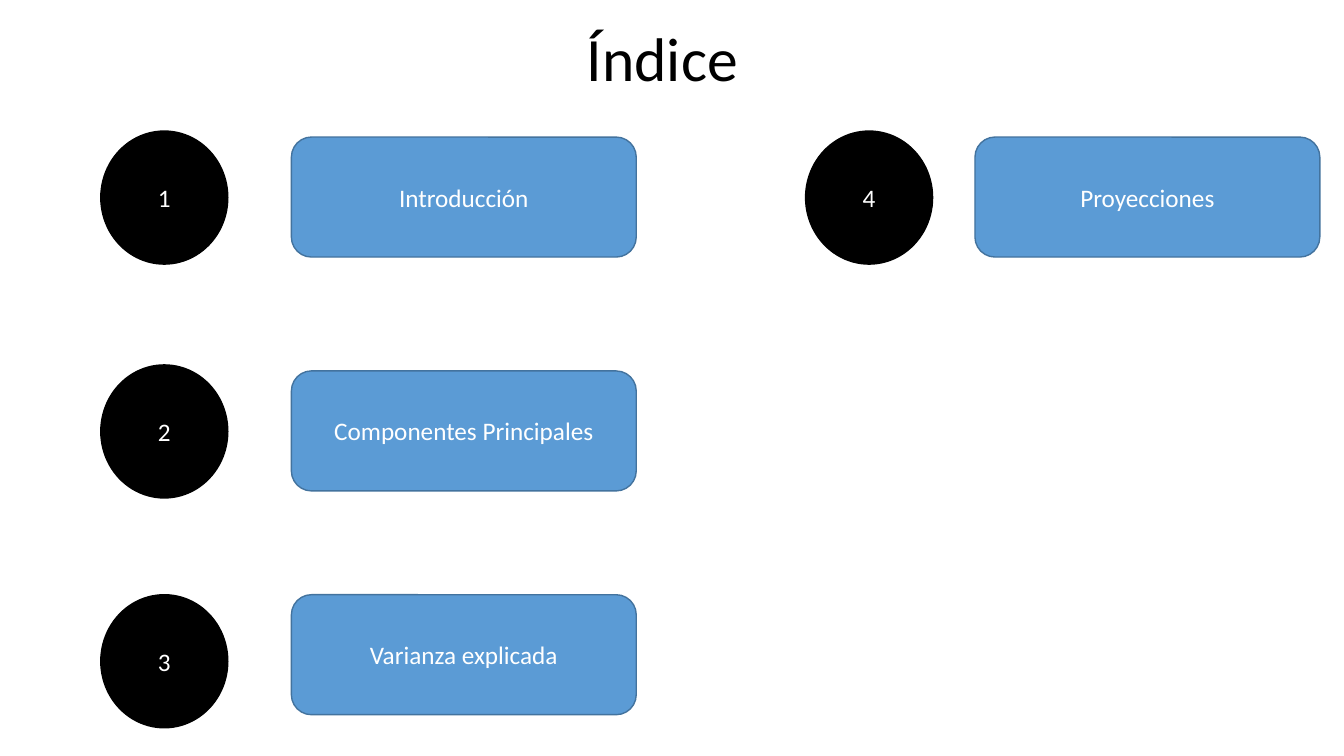
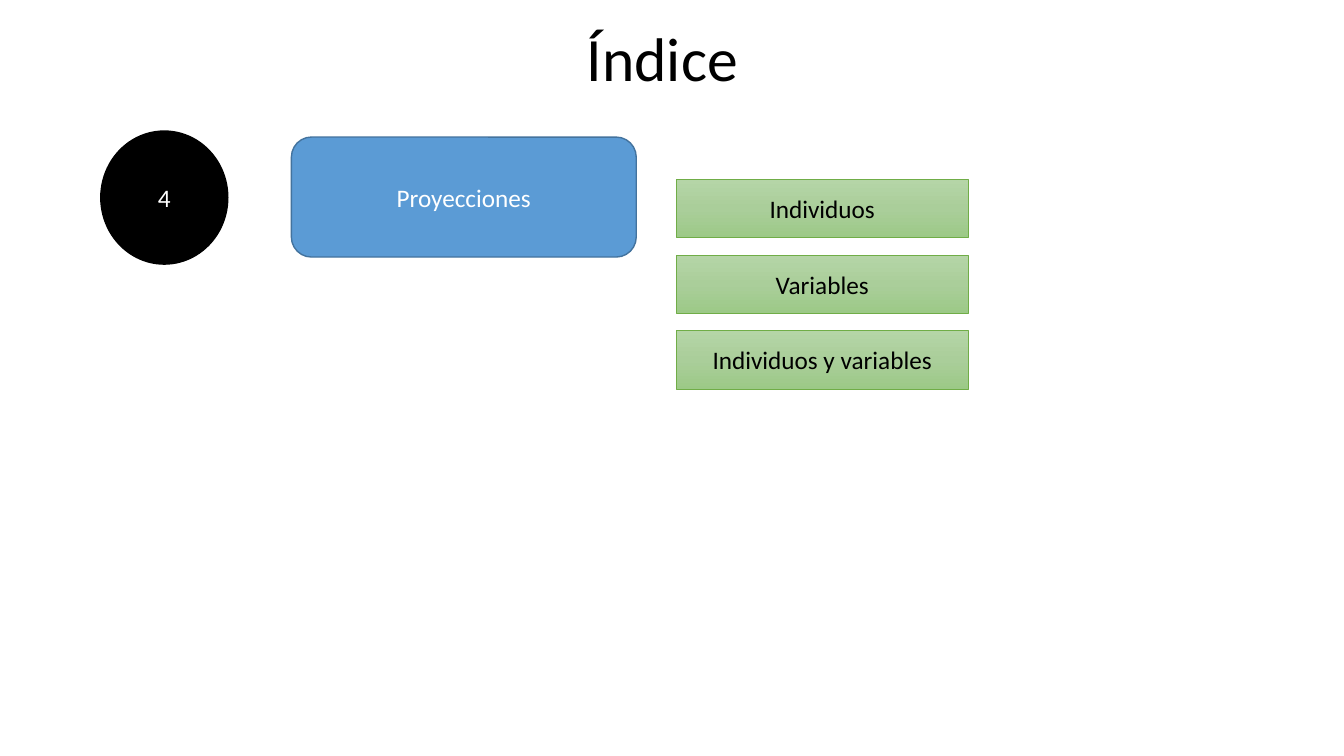
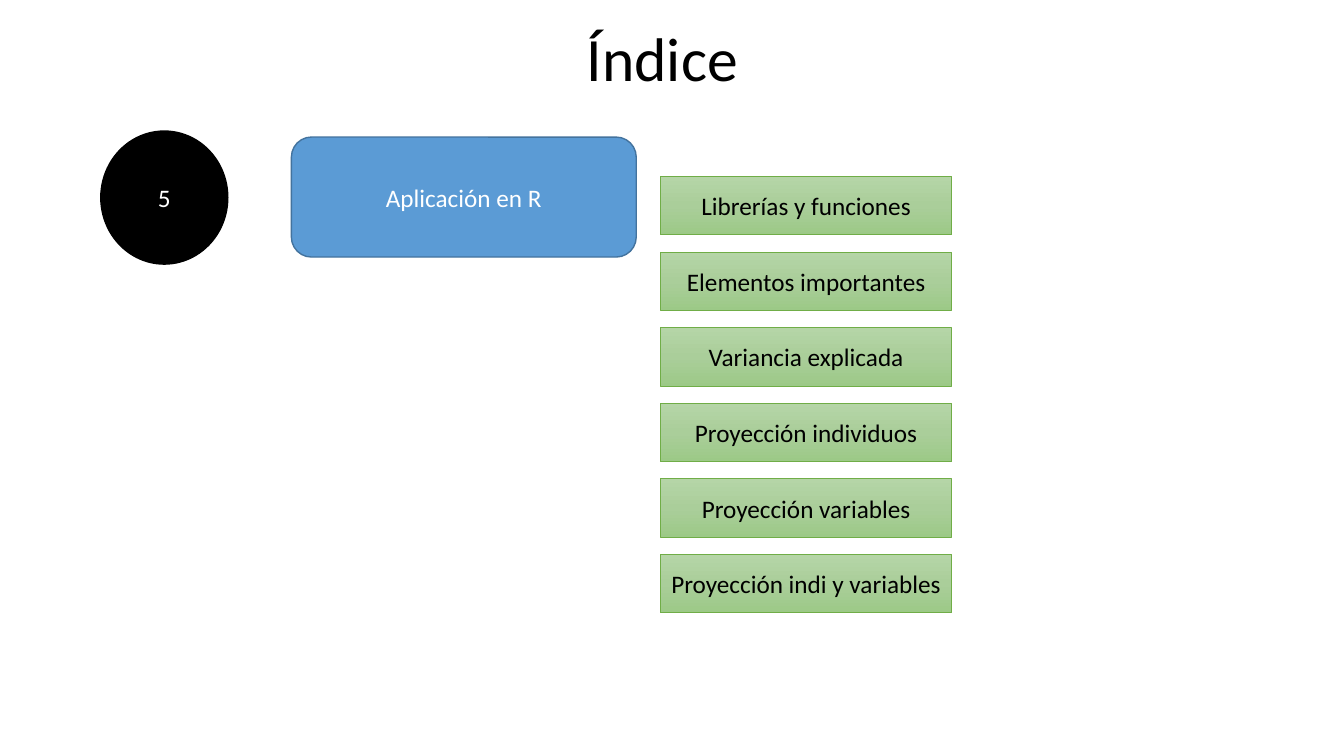
from copy import deepcopy
from dataclasses import dataclass

from pptx import Presentation
from pptx.dml.color import RGBColor as RGB
from pptx.enum.shapes import MSO_SHAPE as Form
from pptx.enum.text import MSO_ANCHOR as Anchor, PP_ALIGN as Align
from pptx.oxml.ns import qn
from pptx.shapes.autoshape import Shape
from pptx.slide import Slide
from pptx.util import Inches, Pt

BLACK = RGB(0x00, 0x00, 0x00)
WHITE = RGB(0xFF, 0xFF, 0xFF)
BLUE = RGB(0x5B, 0x9B, 0xD5)
NAVY = RGB(0x43, 0x73, 0x9E)
GREEN = RGB(0x70, 0xAD, 0x47)
SHADES = (RGB(0xB5, 0xD5, 0xA7), RGB(0xAA, 0xCE, 0x9A), RGB(0x9C, 0xC9, 0x87))
FONT = "Calibri"
PITCH = 0.75


@dataclass(frozen=True)
class Topic:
    num: str
    text: str
    left: float = 1
    top: float = 1.3
    step: float = 1.89
    drop: float = 0.06


@dataclass(frozen=True)
class Items:
    left: float
    top: float
    names: tuple[str, ...]


@dataclass(frozen=True)
class Page:
    topics: tuple[Topic, ...]
    items: Items | None = None


PAGES = (
    Page((
        Topic("1", "Introducción"),
        Topic("2", "Componentes Principales", top=3.62),
        Topic("3", "Varianza explicada", top=5.9, drop=0),
        Topic("4", "Proyecciones", left=7.99, step=1.68),
    )),
    Page(
        (Topic("4", "Proyecciones"),),
        Items(6.71, 1.78, ("Individuos", "Variables", "Individuos y variables")),
    ),
    Page(
        (Topic("5", "Aplicación en R"),),
        Items(6.55, 1.75, (
            "Librerías y funciones",
            "Elementos importantes",
            "Variancia explicada",
            "Proyección individuos",
            "Proyección variables",
            "Proyección indi y variables",
        )),
    ),
)


def write(shape: Shape, text: str, size: float, color: RGB) -> None:
    frame = shape.text_frame
    frame.word_wrap = True
    frame.vertical_anchor = Anchor.MIDDLE
    para = frame.paragraphs[0]
    para.alignment = Align.CENTER
    run = para.add_run()
    run.text = text
    run.font.name = FONT
    run.font.size = Pt(size)
    run.font.color.rgb = color


def title(slide: Slide, text: str) -> None:
    box = slide.shapes.add_textbox(
        Inches(0.93), Inches(0.13), Inches(11.28), Inches(0.97))
    write(box, text, 44, BLACK)
    box.text_frame.paragraphs[0].line_spacing = 0.9


def block(slide: Slide, form: Form, left: float, top: float, width: float,
          height: float, edge: RGB, weight: float) -> Shape:
    shape = slide.shapes.add_shape(
        form, Inches(left), Inches(top), Inches(width), Inches(height))
    shape.shadow.inherit = False
    shape.line.color.rgb = edge
    shape.line.width = Pt(weight)
    return shape


def solid(shape: Shape, color: RGB) -> None:
    shape.fill.solid()
    shape.fill.fore_color.rgb = color


def blend(shape: Shape) -> None:
    fill = shape.fill
    fill.gradient()
    fill.gradient_angle = 270
    first = next(shape.element.spPr.iter(qn("a:gs")))
    first.addnext(deepcopy(first))
    for i, (stop, shade) in enumerate(zip(fill.gradient_stops, SHADES)):
        stop.position = i / 2
        stop.color.rgb = shade


def draw_topic(slide: Slide, topic: Topic) -> None:
    disc = block(slide, Form.OVAL, topic.left, topic.top, 1.26, 1.32, BLACK, 1)
    solid(disc, BLACK)
    write(disc, topic.num, 18, WHITE)
    box = block(slide, Form.ROUNDED_RECTANGLE, topic.left + topic.step,
                topic.top + topic.drop, 3.42, 1.19, NAVY, 1)
    solid(box, BLUE)
    write(box, topic.text, 18, WHITE)


def draw_items(slide: Slide, items: Items) -> None:
    for i, name in enumerate(items.names):
        bar = block(slide, Form.RECTANGLE, items.left, items.top + i * PITCH,
                    2.89, 0.58, GREEN, 0.5)
        blend(bar)
        write(bar, name, 18, BLACK)


def main() -> None:
    deck = Presentation()
    deck.slide_width = Inches(13.33)
    deck.slide_height = Inches(7.5)
    for page in PAGES:
        slide = deck.slides.add_slide(deck.slide_layouts[6])
        title(slide, "Índice")
        for topic in page.topics:
            draw_topic(slide, topic)
        if page.items:
            draw_items(slide, page.items)
    deck.save("out.pptx")


if __name__ == "__main__":
    main()
